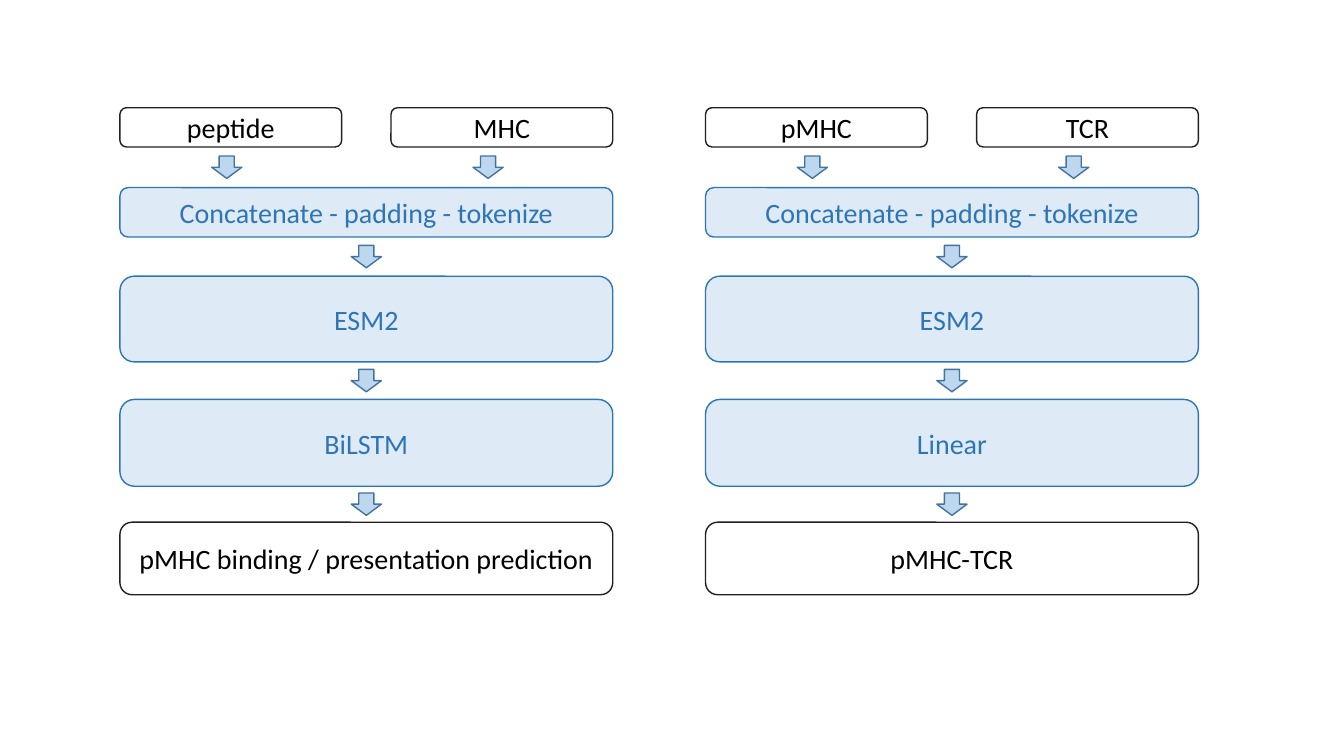
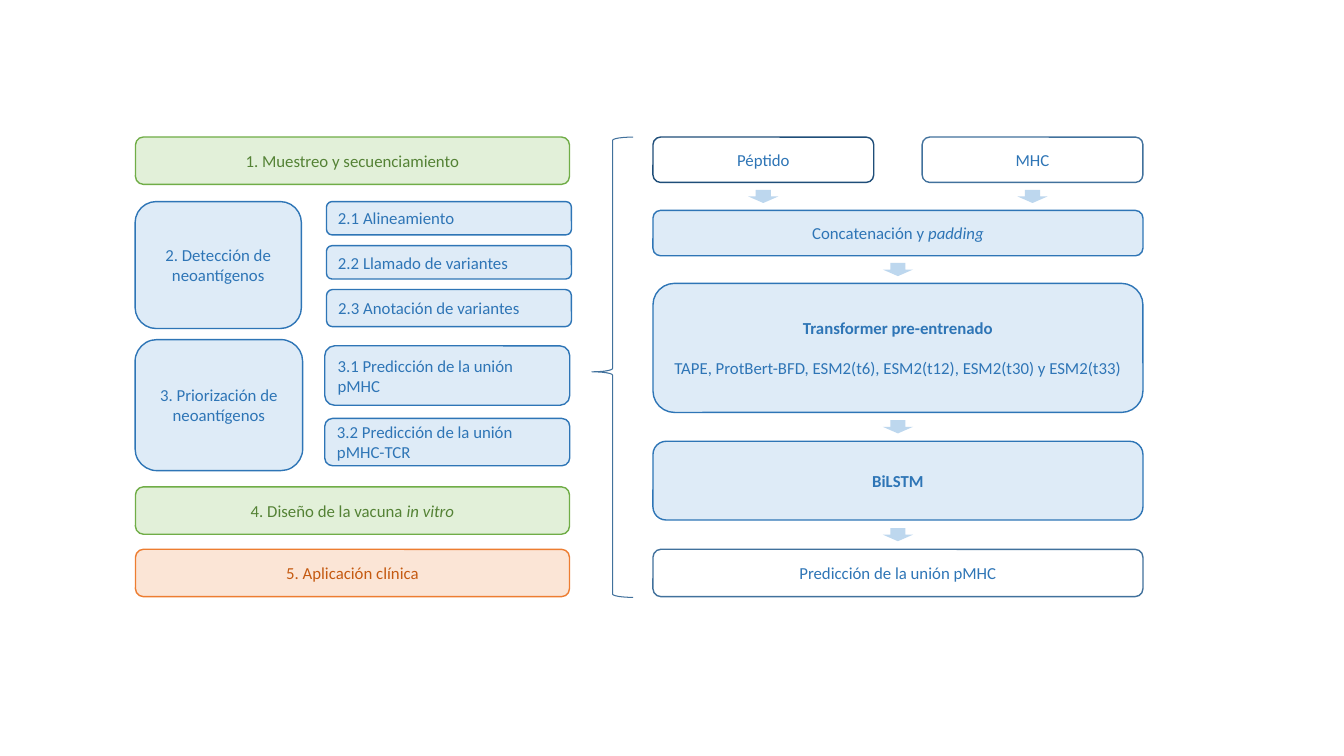
from pptx import Presentation
from pptx.dml.color import RGBColor
from pptx.enum.shapes import MSO_SHAPE
from pptx.enum.text import MSO_ANCHOR, PP_ALIGN
from pptx.util import Pt

ROUND_BOX = MSO_SHAPE.ROUNDED_RECTANGLE
DOWN_ARROW = MSO_SHAPE.DOWN_ARROW
LEFT_BRACE = MSO_SHAPE.LEFT_BRACE
CENTER, LEFT = PP_ALIGN.CENTER, PP_ALIGN.LEFT
MIDDLE = MSO_ANCHOR.MIDDLE

FONT = "Calibri"
COLORS = {
    "black": "000000", "ink": "202020",
    "blue": "2E75B6", "pale_blue": "DEEBF7", "arrow": "BDD7EE",
    "arrow_edge": "43739E", "steel": "41719C", "navy": "1F4E79",
    "green": "70AD47", "pale_green": "E2F0D9", "dark_green": "548235",
    "orange": "ED7D31", "pale_orange": "FBE5D6", "dark_orange": "C55A11",
}
# Box styles: fill, outline, text
STYLES = {
    "plain": (None, "ink", "black"),
    "blue": ("pale_blue", "blue", "blue"),
    "steel": (None, "steel", "blue"),
    "navy": (None, "navy", "blue"),
    "green": ("pale_green", "green", "dark_green"),
    "orange": ("pale_orange", "orange", "dark_orange"),
}
ARROW_WIDTH = 21.6


def rgb(name):
    return RGBColor.from_string(COLORS[name])


def add_figure(slide, preset, frame, fill=None, outline=None, weight=1):
    """Preset shape in frame (left, top, width, height), in points."""
    figure = slide.shapes.add_shape(preset, *(Pt(length) for length in frame))
    figure.shadow.inherit = False
    if fill:
        figure.fill.solid()
        figure.fill.fore_color.rgb = rgb(fill)
    else:
        figure.fill.background()
    if outline:
        figure.line.color.rgb = rgb(outline)
        figure.line.width = Pt(weight)
    else:
        figure.line.fill.background()
    return figure


def add_box(slide, frame, label, style, size, align=CENTER):
    """Rounded box; label is a string or paragraphs of (text, emphasis) runs."""
    fill, outline, ink = STYLES[style]
    text_frame = add_figure(slide, ROUND_BOX, frame, fill, outline).text_frame
    text_frame.word_wrap = True
    text_frame.vertical_anchor = MIDDLE
    lines = [[(label, "")]] if isinstance(label, str) else label
    for index, line in enumerate(lines):
        paragraph = text_frame.add_paragraph() if index else text_frame.paragraphs[0]
        paragraph.alignment = align
        if index:
            paragraph.space_before = Pt(size * 1.2)
        for text, emphasis in line:
            run = paragraph.add_run()
            run.text = text
            run.font.name = FONT
            run.font.size = Pt(size)
            run.font.color.rgb = rgb(ink)
            run.font.bold = emphasis == "bold"
            run.font.italic = emphasis == "italic"


def add_flow(slide, left, width, inputs, stages, size, arrow_height,
             arrow_edge=None, input_arrows=None):
    """Two inputs over a stack of stages, with an arrow centred in each gap."""
    top, input_width, input_height, pair = inputs
    input_lefts = (left, left + width - input_width)
    for input_left, (label, style) in zip(input_lefts, pair):
        add_box(slide, (input_left, top, input_width, input_height), label, style, size)

    if input_arrows:
        centers = [left + offset for offset in input_arrows]
    else:
        centers = [input_left + input_width / 2 for input_left in input_lefts]
    bottom = top + input_height
    for label, stage_top, stage_height, style in stages:
        arrow_top = (bottom + stage_top - arrow_height) / 2
        for center in centers:
            add_figure(slide, DOWN_ARROW,
                       (center - ARROW_WIDTH / 2, arrow_top, ARROW_WIDTH, arrow_height),
                       "arrow", arrow_edge)
        add_box(slide, (left, stage_top, width, stage_height), label, style, size)
        centers = [left + width / 2]
        bottom = stage_top + stage_height


def build_models(slide):
    models = [
        (85.7, "peptide", "MHC", "BiLSTM", "pMHC binding / presentation prediction"),
        (504, "pMHC", "TCR", "Linear", "pMHC-TCR"),
    ]
    for left, first, second, head, prediction in models:
        inputs = (77, 158.4, 28, [(first, "plain"), (second, "plain")])
        stages = [
            ("Concatenate - padding - tokenize", 134, 35.3, "blue"),
            ("ESM2", 197.3, 61.2, "blue"),
            (head, 285.3, 62, "blue"),
            (prediction, 373, 51.8, "plain"),
        ]
        add_flow(slide, left, 352, inputs, stages, 20, 16, "arrow_edge", (76.3, 263))


def build_pipeline(slide):
    size = 12
    # Full-width phases
    phases = [
        ("1. Muestreo y secuenciamiento", 97.9, "green"),
        ([[("4. Diseño de la vacuna ", ""), ("in vitro", "italic")]], 347.8, "green"),
        ("5. Aplicación clínica", 392.4, "orange"),
    ]
    for label, top, style in phases:
        add_box(slide, (96.8, top, 310, 33.8), label, style, size)

    # Phases with their steps: label, top, width, height, steps' left, steps
    detailed_phases = [
        ("2. Detección de neoantígenos", 144, 118.8, 90.7, 233.2, [
            ("2.1 Alineamiento", 144, 23.8),
            ("2.2 Llamado de variantes", 175.5, 23.8),
            ("2.3 Anotación de variantes", 206.8, 26.6)]),
        ("3. Priorización de neoantígenos", 242.6, 119.7, 93.6, 232, [
            ("3.1 Predicción de la unión pMHC", 247, 42.5),
            ("3.2 Predicción de la unión pMHC-TCR", 298.9, 33.8)]),
    ]
    for label, top, width, height, steps_left, steps in detailed_phases:
        add_box(slide, (96.5, top, width, height), label, "blue", size)
        for step, step_top, step_height in steps:
            add_box(slide, (steps_left, step_top, 175, step_height),
                    step, "blue", size, LEFT)

    # Brace opening onto the prediction model
    brace = add_figure(slide, LEFT_BRACE, (422.8, 97.9, 29.5, 328.8),
                       outline="steel", weight=0.75)
    brace.adjustments[0] = 0.08
    brace.adjustments[1] = 0.51

    # Prediction model
    inputs = (97.9, 157.7, 32.4, [("Péptido", "navy"), ("MHC", "steel")])
    transformer = [
        [("Transformer pre-entrenado", "bold")],
        [("TAPE, ProtBert-BFD, ESM2(t6), ESM2(t12), ESM2(t30) y ESM2(t33)", "")],
    ]
    stages = [
        ([[("Concatenación y ", ""), ("padding", "italic")]], 150.3, 32.4, "blue"),
        (transformer, 202.4, 92.2, "blue"),
        ([[("BiLSTM", "bold")]], 315.2, 56.2, "blue"),
        ("Predicción de la unión pMHC", 392.4, 33.8, "steel"),
    ]
    add_flow(slide, 466.4, 350, inputs, stages, size, 9.4)


def main():
    deck = Presentation()
    deck.slide_width, deck.slide_height = Pt(960), Pt(540)
    blank = deck.slide_layouts[6]
    for build in (build_models, build_pipeline):
        build(deck.slides.add_slide(blank))
    deck.save("out.pptx")


if __name__ == "__main__":
    main()
